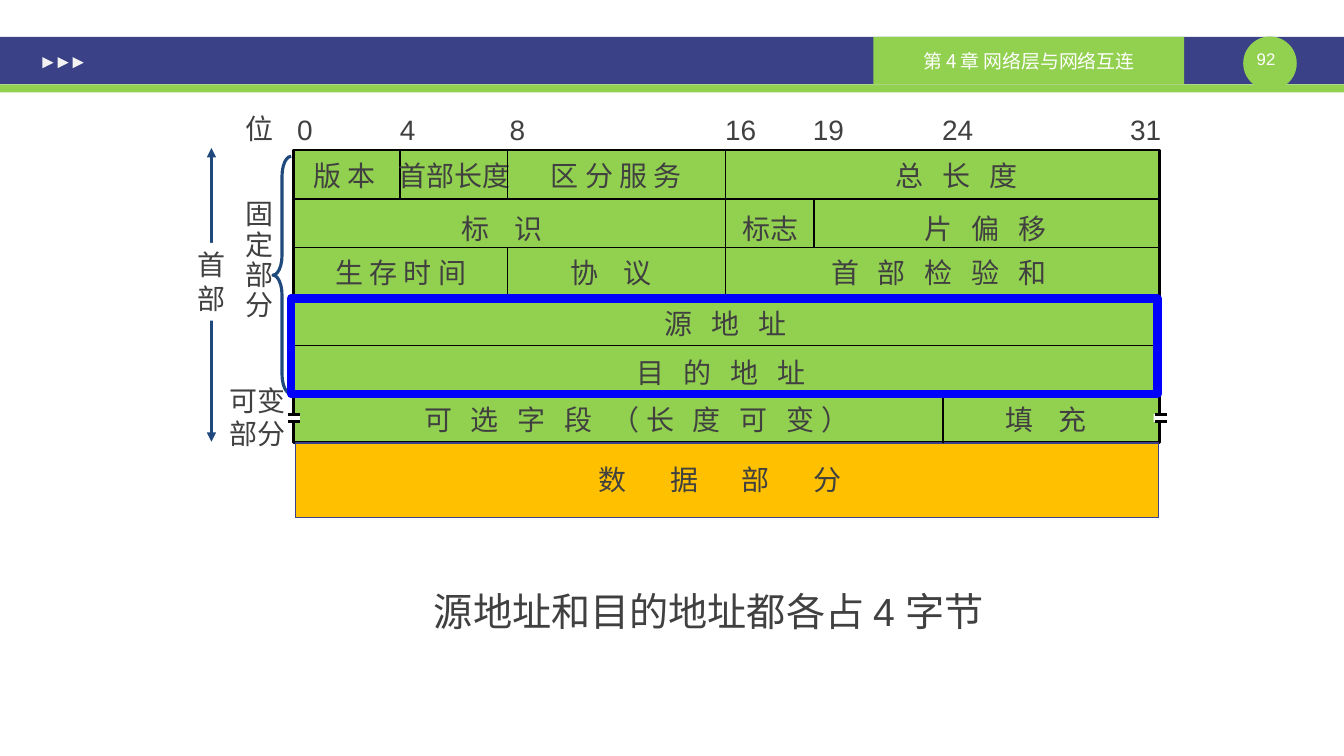
"""Builds the slide on the source and destination address fields of the IP header."""
from lxml.etree import SubElement
from pptx import Presentation
from pptx.dml.color import RGBColor
from pptx.enum.shapes import MSO_CONNECTOR, MSO_SHAPE as SHAPE
from pptx.enum.text import MSO_ANCHOR, PP_ALIGN
from pptx.oxml.ns import qn
from pptx.util import Cm, Pt

NAVY, GREEN, WHITE, BLACK = "3A4187", "92D050", "FFFFFF", "000000"
TEXT, STEEL, BLUE, GOLD, PALE = "404040", "1F497D", "0000FF", "FFC000", "F2F2F2"

CHAPTER = "第 4 章 网络层与网络互连"
PAGE = "92"
CAPTION = "源地址和目的地址都各占 4 字节"
COLUMNS = {0: 7.39, 4: 10.08, 8: 12.8, 16: 18.29, 19: 20.52, 24: 23.77}
BIT_LABELS = [("0", 7.24), ("4", 9.83), ("8", 12.6), ("16", 18.03),
              ("19", 20.24), ("24", 23.5), ("31", 28.24)]
# Each row: text top, then cells as (text, first bit, text left, letter spacing in pt)
ROWS = [
    (3.87, [("版 本", 0, 7.65, 0), ("首部长度", 4, 9.8, 0),
            ("区 分 服 务", 8, 13.64, 0), ("总 长 度", 16, 22.33, 4.5)]),
    (5.21, [("标 识", 0, 11.38, 6.75), ("标志", 16, 18.47, 0), ("片 偏 移", 19, 23.06, 4.5)]),
    (6.32, [("生 存 时 间", 0, 8.2, 0), ("协 议", 8, 14.12, 6.75),
            ("首 部 检 验 和", 16, 20.7, 4.5)]),
    (7.6, [("源 地 址", 0, 16.51, 4.5)]),
    (8.84, [("目 的 地 址", 0, 15.8, 4.5)]),
    (10.02, [("可 选 字 段 （长 度 可 变）", 0, 10.44, 4.5), ("填 充", 24, 25.1, 6.75)]),
]
SIDE_LABELS = [(["位"], 5.94, 2.69, 1), (["固", "定", "部", "分"], 5.94, 4.93, 0.9),
               (["可变", "部分"], 5.54, 9.53, 1)]
TOP, ROW_H, LEFT, RIGHT = 3.78, 1.23, 7.39, 29.24
BOTTOM = TOP + ROW_H * len(ROWS)

prs = Presentation()
prs.slide_width, prs.slide_height = Cm(33.88), Cm(19.05)
s = prs.slides.add_slide(prs.slide_layouts[6])


def rgb(color):
    return RGBColor.from_string(color)


def shape(kind, x, y, w, h, fill=None, line=None, width=1):
    sp = s.shapes.add_shape(kind, Cm(x), Cm(y), Cm(w), Cm(h))
    sp.shadow.inherit = False
    if fill:
        sp.fill.solid()
        sp.fill.fore_color.rgb = rgb(fill)
    else:
        sp.fill.background()
    if line:
        sp.line.color.rgb = rgb(line)
        sp.line.width = Pt(width)
    else:
        sp.line.fill.background()
    return sp


def line(x1, y1, x2, y2, color=BLACK, width=1, arrows=False):
    cx = s.shapes.add_connector(MSO_CONNECTOR.STRAIGHT, Cm(x1), Cm(y1), Cm(x2), Cm(y2))
    cx.line.color.rgb = rgb(color)
    cx.line.width = Pt(width)
    if arrows:
        for end in ("a:headEnd", "a:tailEnd"):
            SubElement(cx.line._get_or_add_ln(), qn(end), type="triangle")
    SubElement(cx._element.spPr, qn("a:effectLst"))


def write(sp, lines, size=20, color=TEXT, font="Arial", align=PP_ALIGN.LEFT,
          anchor=MSO_ANCHOR.TOP, spacing=1, gap=0):
    tf = sp.text_frame
    tf.word_wrap = True
    tf.vertical_anchor = anchor
    for i, words in enumerate(lines):
        p = tf.add_paragraph() if i else tf.paragraphs[0]
        p.alignment = align
        p.line_spacing = spacing
        r = p.add_run()
        r.text = words
        r.font.size, r.font.name = Pt(size), font
        r.font.color.rgb = rgb(color)
        if gap:
            r._r.get_or_add_rPr().set("spc", str(round(gap * 100)))


def textbox(x, y, w, h, lines, **style):
    write(s.shapes.add_textbox(Cm(x), Cm(y), Cm(w), Cm(h)), lines, **style)


def label(lines, x, y, spacing=1, gap=0):
    w = 0.6 + max(sum((0.2 if c == " " else 0.71) + gap * 0.035 for c in t) for t in lines)
    textbox(x, y, w, 0.25 + 0.85 * len(lines), lines, spacing=spacing, gap=gap)


def banner():
    shape(SHAPE.RECTANGLE, 0, 0.93, 33.88, 1.19, NAVY)
    shape(SHAPE.OVAL, 31.34, 0.92, 1.35, 1.35, GREEN)
    shape(SHAPE.RECTANGLE, 0, 2.13, 33.88, 0.2, GREEN)
    textbox(31.24, 1.1, 1.35, 0.7, [PAGE], size=12, color=WHITE, align=PP_ALIGN.CENTER)
    tab = shape(SHAPE.RECTANGLE, 22.02, 0.93, 7.83, 1.19, GREEN)
    write(tab, [CHAPTER], size=13.5, color=WHITE, font="Noto Sans CJK SC",
          align=PP_ALIGN.CENTER, anchor=MSO_ANCHOR.MIDDLE)
    for i in range(3):
        shape(SHAPE.ISOSCELES_TRIANGLE, 1.07 + 0.38 * i, 1.44, 0.28, 0.28, PALE).rotation = 90


def header_table():
    shape(SHAPE.RECTANGLE, LEFT, TOP, RIGHT - LEFT, BOTTOM - TOP, GREEN, BLACK, 2)
    shape(SHAPE.RECTANGLE, 7.45, BOTTOM, 21.76, 1.88, GOLD, NAVY)
    for i, (text_top, cells) in enumerate(ROWS):
        y = TOP + ROW_H * i
        if i:
            line(LEFT, y, RIGHT, y)
        for words, bit, x, gap in cells:
            if bit:
                line(COLUMNS[bit], y, COLUMNS[bit], y + ROW_H)
            label([words], x, text_top, gap=gap)
    for words, x in BIT_LABELS:
        label([words], x, 2.72)
    label(["数 据 部 分"], 14.83, 11.53, gap=13.4)


def side_marks():
    for lines, x, y, spacing in SIDE_LABELS:
        label(lines, x, y, spacing)
    line(5.33, 3.73, 5.33, 11.13, STEEL, 2.25, arrows=True)
    shape(SHAPE.RECTANGLE, 4.72, 6.12, 1.22, 1.96, WHITE)
    label(["首", "部"], 4.72, 6.12)
    brace = shape(SHAPE.LEFT_BRACE, 6.88, 3.94, 0.46, 5.99, None, STEEL, 2.25)
    brace.adjustments[0], brace.adjustments[1] = 1.08, 0.5
    for x in (7.22, 29.08):
        shape(SHAPE.RECTANGLE, x, 10.43, 0.34, 0.2, WHITE)
        for y in (10.45, 10.62):
            line(x + 0.03, y, x + 0.34, y, width=2)


banner()
header_table()
side_marks()
textbox(10.69, 14.68, 14.66, 2.6, [CAPTION], size=28)
shape(SHAPE.RECTANGLE, 7.34, 7.52, 21.84, 2.41, None, BLUE, 6)
prs.save("out.pptx")
